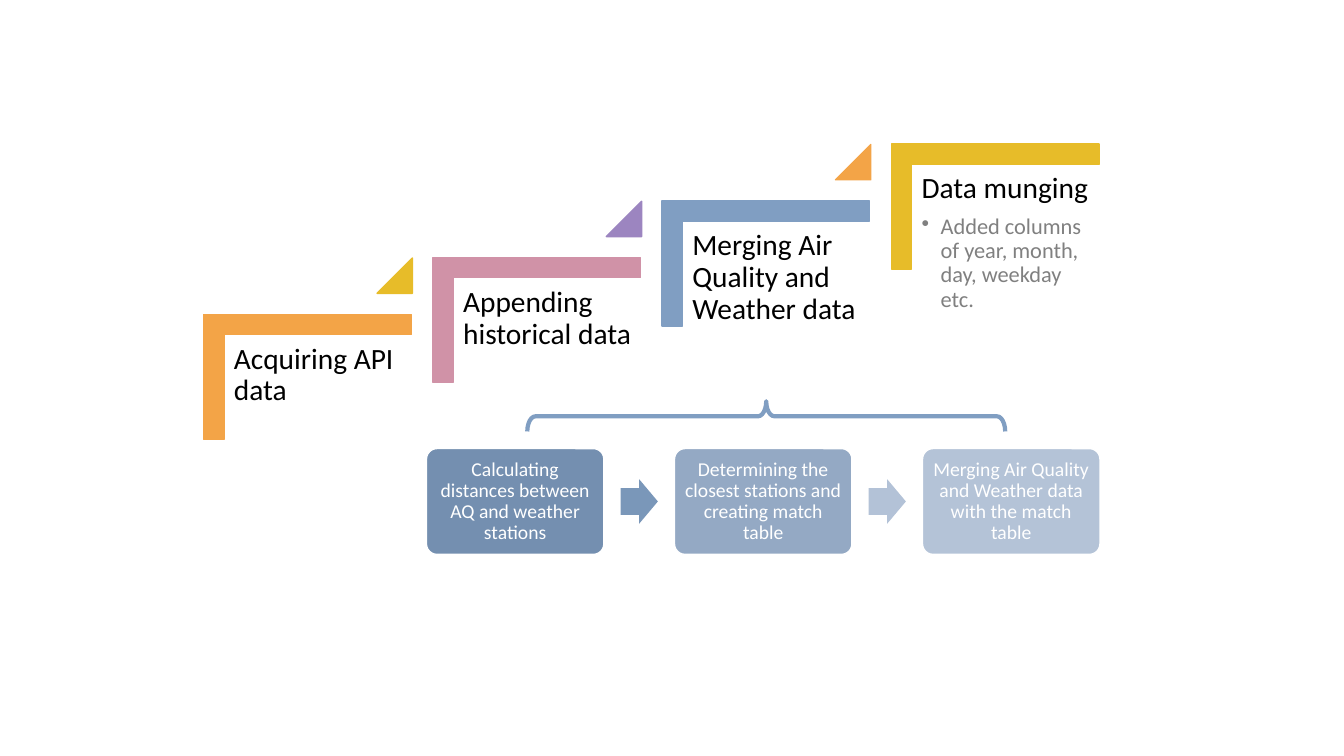
"""Build a slide of four rising data steps, with one step split into three tasks."""
from lxml import etree
from pptx import Presentation
from pptx.dml.color import RGBColor
from pptx.enum.shapes import MSO_SHAPE
from pptx.enum.text import MSO_ANCHOR, PP_ALIGN
from pptx.oxml.ns import qn
from pptx.util import Inches, Pt

CORNER, TRIANGLE = MSO_SHAPE.CORNER, MSO_SHAPE.ISOSCELES_TRIANGLE
ROUNDED, ARROW, BRACE = MSO_SHAPE.ROUNDED_RECTANGLE, MSO_SHAPE.RIGHT_ARROW, MSO_SHAPE.RIGHT_BRACE
LEFT, CENTER = PP_ALIGN.LEFT, PP_ALIGN.CENTER
TOP, MIDDLE = MSO_ANCHOR.TOP, MSO_ANCHOR.MIDDLE

STEPS = [
    ("Acquiring API data", [], "F3A447", "E7BC29"),
    ("Appending historical data", [], "D092A7", "9C85C0"),
    ("Merging Air Quality and Weather data", [], "809EC2", "F3A447"),
    ("Data munging", ["Added columns of year, month, day, weekday etc."], "E7BC29", None),
]
TASKS = [
    ("Calculating distances between AQ and weather stations", "748FB0", "7A97B9"),
    ("Determining the closest stations and creating match table", "94A9C4", "B3C2D7"),
    ("Merging Air Quality and Weather data with the match table", "B4C3D7", None),
]

FIRST_STEP, LAST_STEP = (2.23, 3.32), (9.05, 1.63)
STEP_SIZE = (1.86, 1.63)
FIRST_TASK, TASK_SIZE, TASK_PITCH = (4.23, 4.45), (1.76, 1.05), 2.46
ARROW_SIZE = (0.37, 0.44)


def color(hex_string):
    return RGBColor.from_string(hex_string)


def add_figure(slide, kind, box, fill=None, line=None, width=1, adjust=(), rotation=0):
    shape = slide.shapes.add_shape(kind, *map(Inches, box))
    shape.shadow.inherit = False
    shape.rotation = rotation
    for index, value in enumerate(adjust):
        shape.adjustments[index] = value
    if fill:
        shape.fill.solid()
        shape.fill.fore_color.rgb = color(fill)
    else:
        shape.fill.background()
    if line:
        shape.line.color.rgb = color(line)
        shape.line.width = Pt(width)
    else:
        shape.line.fill.background()
    return shape


def setup_frame(shape, inset, anchor):
    frame = shape.text_frame
    frame.word_wrap = True
    frame.vertical_anchor = anchor
    frame.margin_left = frame.margin_right = Inches(inset)
    frame.margin_top = frame.margin_bottom = Inches(inset)
    return frame


def write(paragraph, text, size, fill, align=LEFT, after=0.35, bullet=False):
    paragraph.alignment = align
    paragraph.line_spacing = 0.9
    paragraph.space_after = Pt(round(size * after, 1))
    run = paragraph.add_run()
    run.text = text
    run.font.name = "Calibri"
    run.font.size = Pt(size)
    run.font.color.rgb = color(fill)
    if bullet:
        paragraph.level = 1
        properties = paragraph._p.get_or_add_pPr()
        properties.set("marL", str(Inches(0.19)))
        properties.set("indent", str(-Inches(0.19)))
        etree.SubElement(properties, qn("a:buChar")).set("char", "•")


def add_steps(slide):
    count = len(STEPS) - 1
    for index, (title, details, fill, marker) in enumerate(STEPS):
        left, top = (a + (b - a) * index / count for a, b in zip(FIRST_STEP, LAST_STEP))
        add_figure(slide, CORNER, (left + 0.2, top - 0.61, 1.24, 2.06), fill, fill,
                   adjust=(0.161, 0.161), rotation=90)
        label = slide.shapes.add_textbox(*map(Inches, (left, top, *STEP_SIZE)))
        frame = setup_frame(label, 0.09, TOP)
        write(frame.paragraphs[0], title, 21, "000000")
        for detail in details:
            write(frame.add_paragraph(), detail, 16, "808080", after=0.15, bullet=True)
        if marker:
            add_figure(slide, TRIANGLE, (left + 1.51, top - 0.76, 0.35, 0.35),
                       marker, marker, adjust=(1,))


def add_tasks(slide):
    first_left, top = FIRST_TASK
    width, height = TASK_SIZE
    arrow_width, arrow_height = ARROW_SIZE
    for index, (text, fill, arrow) in enumerate(TASKS):
        left = first_left + index * TASK_PITCH
        task = add_figure(slide, ROUNDED, (left, top, width, height), fill, "FFFFFF", adjust=(0.1,))
        write(setup_frame(task, 0.06, MIDDLE).paragraphs[0], text, 14, "FFFFFF", CENTER)
        if arrow:
            arrow_left = left + width + (TASK_PITCH - width - arrow_width) / 2
            arrow_top = top + (height - arrow_height) / 2
            add_figure(slide, ARROW, (arrow_left, arrow_top, *ARROW_SIZE), arrow, adjust=(0.6, 0.5))
    add_figure(slide, BRACE, (7.45, 1.76, 0.3, 4.74), line="809EC2", width=3,
               adjust=(0.271, 0.5), rotation=270)


def main():
    presentation = Presentation()
    presentation.slide_width, presentation.slide_height = Inches(13.33), Inches(7.5)
    slide = presentation.slides.add_slide(presentation.slide_layouts[6])
    add_steps(slide)
    add_tasks(slide)
    presentation.save("out.pptx")


if __name__ == "__main__":
    main()
